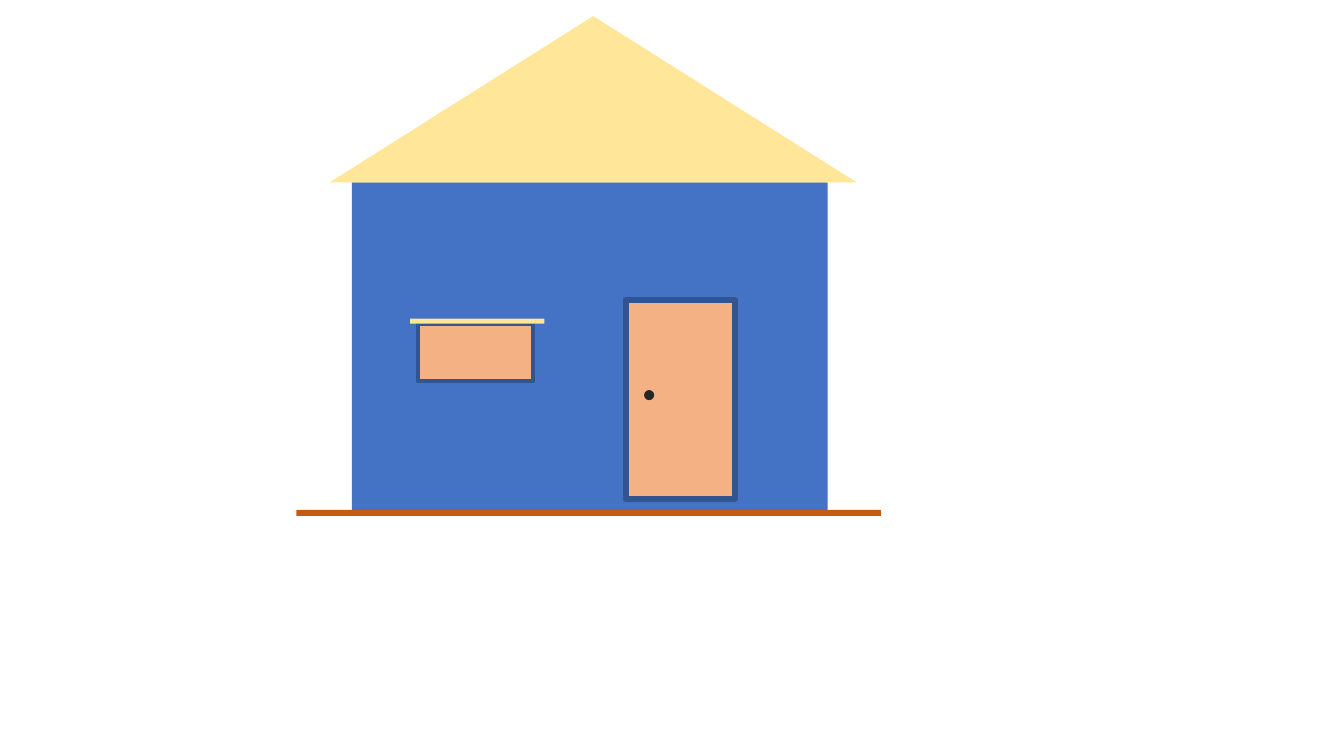
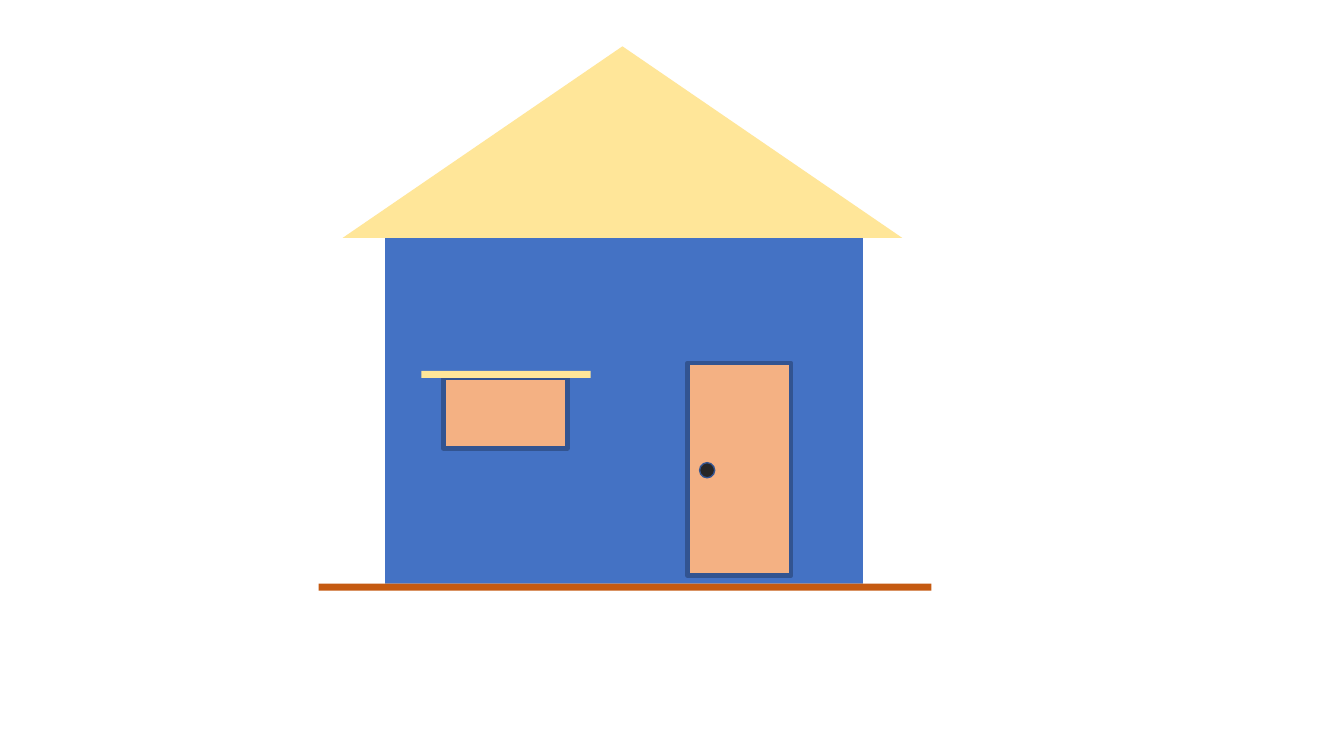
import pptx
import pptx.util
import pptx.dml.color
import pptx.enum.shapes

Inches = pptx.util.Inches
RGBColor = pptx.dml.color.RGBColor
Kind = pptx.enum.shapes.MSO_SHAPE

BLUE = RGBColor(0x44, 0x72, 0xC4)
NAVY = RGBColor(0x32, 0x54, 0x91)
CREAM = RGBColor(0xFF, 0xE6, 0x99)
PEACH = RGBColor(0xF4, 0xB1, 0x83)
RUST = RGBColor(0xC5, 0x5A, 0x11)
BLACK = RGBColor(0x26, 0x26, 0x26)

BLANK = 6

# Boxes are left, top, width, height; spans are left, width, height.
HOUSES = [
    dict(wall=(3.49, 1.81, 4.72, 3.25), roof=(3.27, 5.23, 1.65),
         door=(6.21, 2.98, 1.08, 1.97), frame=4.5,
         window=(4.15, 3.21, 1.14, 0.57), awning=(4.07, 1.33, 0.05),
         ground=(2.94, 5.8, 0.06), knob=(6.39, 3.87, 0.1), ring=0),
    dict(wall=(3.82, 2.36, 4.74, 3.43), roof=(3.4, 5.55, 1.9),
         door=(6.82, 3.6, 1.03, 2.11), frame=3,
         window=(4.4, 3.75, 1.23, 0.7), awning=(4.18, 1.68, 0.07),
         ground=(3.16, 6.08, 0.07), knob=(6.94, 4.59, 0.15), ring=1),
]


class Deck:
    def __init__(self):
        self.show = pptx.Presentation()
        size = {"slide_width": Inches(13.333), "slide_height": Inches(7.5)}
        for name, value in size.items():
            setattr(self.show, name, value)

    def start(self):
        """Add a blank slide with one group to draw in."""
        layout = self.show.slide_layouts[BLANK]
        self.slide = self.show.slides.add_slide(layout)
        self.group = self.slide.shapes.add_group_shape()

    def shape(self, kind, box, fill, edge=0):
        """Draw a filled shape; edge is the outline width in points."""
        item = self.group.shapes.add_shape(kind, *map(Inches, box))
        item.shadow.inherit = False
        item.fill.solid()
        item.fill.fore_color.rgb = fill
        if edge:
            item.line.color.rgb = NAVY
            item.line.width = pptx.util.Pt(edge)
        else:
            item.line.fill.background()

    def above(self, kind, span, base, fill):
        """Draw a shape that rests on the height base."""
        left, width, height = span
        self.shape(kind, (left, base - height, width, height), fill)

    def house(self, wall, roof, door, frame, window, awning, ground, knob, ring):
        self.start()
        self.shape(Kind.RECTANGLE, wall, BLUE)
        self.above(Kind.ISOSCELES_TRIANGLE, roof, wall[1], CREAM)
        self.shape(Kind.RECTANGLE, door, PEACH, frame)
        self.shape(Kind.RECTANGLE, window, PEACH, 3)
        self.above(Kind.RECTANGLE, awning, window[1], CREAM)
        base = wall[1] + wall[3] + ground[2]
        self.above(Kind.RECTANGLE, ground, base, RUST)
        left, top, size = knob
        self.shape(Kind.FLOWCHART_CONNECTOR, (left, top, size, size), BLACK, ring)


def main():
    deck = Deck()
    for parts in HOUSES:
        deck.house(**parts)
    deck.show.save("out.pptx")


if __name__ == "__main__":
    main()
